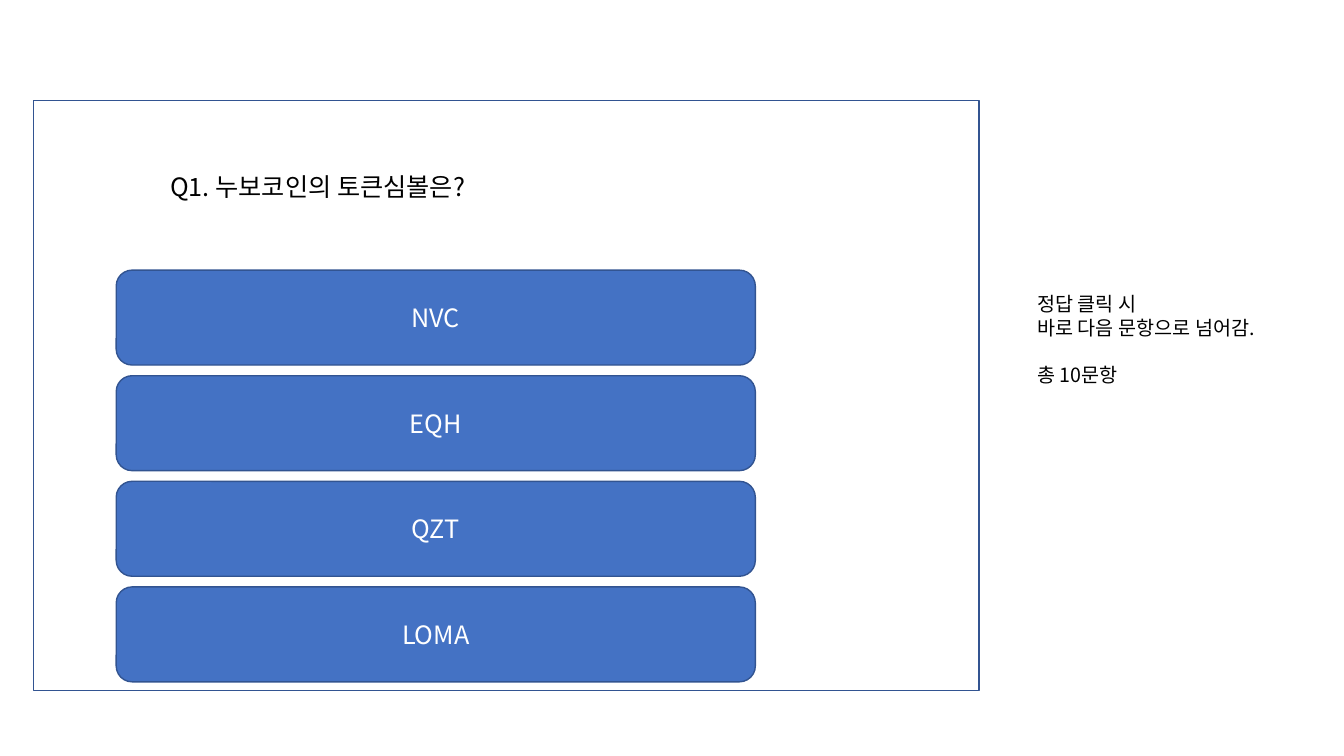
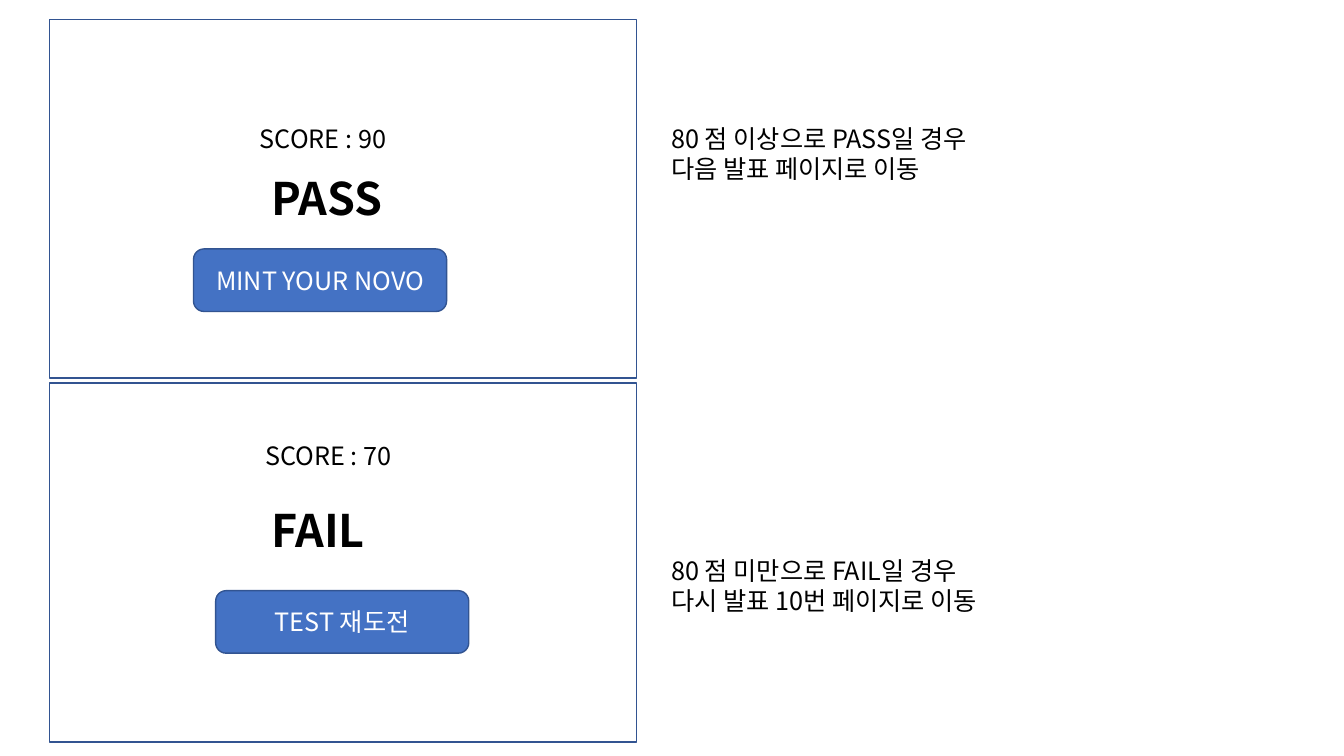
from dataclasses import dataclass
from typing import Any

import lxml.etree
import pptx
import pptx.dml.color
import pptx.enum.shapes
import pptx.enum.text
import pptx.oxml.ns
import pptx.util

COLOURS = {"button": "4472C4", "outline": "325491", "text": "000000", "button_text": "FFFFFF"}
FONT = "Noto Sans CJK KR"
SLIDE_WIDTH, SLIDE_HEIGHT = pptx.util.Inches(13.33), pptx.util.Inches(7.5)
GRID = 100  # columns and rows on each slide
BODY, SMALL, LARGE = 18, 14, 32

SHAPES = pptx.enum.shapes.MSO_SHAPE
ANCHOR = pptx.enum.text.MSO_ANCHOR
BUTTON_FRAME = {"word_wrap": True, "vertical_anchor": ANCHOR.MIDDLE}
TEXT_FRAME = {
    "word_wrap": True,
    "vertical_anchor": ANCHOR.TOP,
    "auto_size": pptx.enum.text.MSO_AUTO_SIZE.SHAPE_TO_FIT_TEXT,
}


@dataclass(frozen=True)
class Area:
    """A place on the grid: columns across, rows down."""
    column: float
    row: float
    columns: float
    rows: float

    def lengths(self) -> tuple[int, ...]:
        column, row = SLIDE_WIDTH / GRID, SLIDE_HEIGHT / GRID
        return (round(self.column * column), round(self.row * row),
                round(self.columns * column), round(self.rows * row))


@dataclass(frozen=True)
class Line:
    text: str
    size: int = BODY
    bold: bool = False
    space_before: float = 0


@dataclass(frozen=True)
class Result:
    """One outcome of the quiz: its panel, texts and button."""
    panel_row: float
    score: str
    score_column: float
    score_row: float
    verdict: str
    verdict_row: float
    action: str
    action_column: float
    action_row: float
    note: tuple[str, ...]
    note_row: float
    note_rows: float


# Shared drawing
def colour(name: str) -> pptx.dml.color.RGBColor:
    return pptx.dml.color.RGBColor.from_string(COLOURS[name])


def set_values(target: Any, values: dict[str, Any]) -> None:
    for name, value in values.items():
        setattr(target, name, value)


def write(text_frame: Any, lines: list[Line], text_colour: str, centred: bool = False) -> None:
    for index, line in enumerate(lines):
        paragraph = text_frame.add_paragraph() if index else text_frame.paragraphs[0]
        alignment = pptx.enum.text.PP_ALIGN
        set_values(paragraph, {
            "alignment": alignment.CENTER if centred else alignment.LEFT,
            "space_before": pptx.util.Pt(line.space_before),
        })
        run = paragraph.add_run()
        run.text = line.text
        set_values(run.font, {"name": FONT, "size": pptx.util.Pt(line.size), "bold": line.bold})
        run.font.color.rgb = colour(text_colour)
        east_asian = lxml.etree.SubElement(run.font._element, pptx.oxml.ns.qn("a:ea"))
        east_asian.set("typeface", FONT)


def add_outlined(slide: Any, kind: Any, area: Area) -> Any:
    shape = slide.shapes.add_shape(kind, *area.lengths())
    shape.shadow.inherit = False
    shape.line.color.rgb = colour("outline")
    shape.line.width = pptx.util.Pt(1)
    return shape


def add_panel(slide: Any, area: Area) -> None:
    add_outlined(slide, SHAPES.RECTANGLE, area).fill.background()


def add_button(slide: Any, area: Area, label: str) -> None:
    shape = add_outlined(slide, SHAPES.ROUNDED_RECTANGLE, area)
    shape.fill.solid()
    shape.fill.fore_color.rgb = colour("button")
    set_values(shape.text_frame, BUTTON_FRAME)
    write(shape.text_frame, [Line(label)], "button_text", centred=True)


def add_text(slide: Any, area: Area, *lines: Line) -> None:
    shape = slide.shapes.add_textbox(*area.lengths())
    set_values(shape.text_frame, TEXT_FRAME)
    write(shape.text_frame, list(lines), "text")


# Slide 1: question with four answers
ANSWERS = ("NVC", "EQH", "QZT", "LOMA")
FIRST_ANSWER_ROW, ANSWER_PITCH = 35.73, 13.97


def build_question(slide: Any) -> None:
    add_panel(slide, Area(2.5, 13.33, 70.35, 78))
    add_text(slide, Area(11.93, 22, 46.05, 5.33), Line("Q1. 누보코인의 토큰심볼은?"))
    for index, answer in enumerate(ANSWERS):
        row = FIRST_ANSWER_ROW + index * ANSWER_PITCH
        add_button(slide, Area(8.65, row, 47.55, 12.55), answer)
    add_text(
        slide, Area(76.45, 38, 22.05, 13.87),
        Line("정답 클릭 시", SMALL),
        Line("바로 다음 문항으로 넘어감.", SMALL),
        Line("총 10문항", SMALL, space_before=17),
    )


# Slide 2: pass and fail results
RESULTS = (
    Result(2.55, "SCORE : 90", 18.6, 15.6, "PASS", 21.87, "MINT YOUR NOVO", 14.4, 32.93,
           ("80 점 이상으로 PASS일 경우", "다음 발표 페이지로 이동"), 15.6, 9.47),
    Result(50.67, "SCORE : 70", 19, 57.6, "FAIL", 65.87, "TEST 재도전", 16.05, 78.13,
           ("80 점 미만으로 FAIL일 경우", "다시 발표 10번 페이지로 이동"), 72.8, 17.47),
)


def build_results(slide: Any) -> None:
    for result in RESULTS:
        add_panel(slide, Area(3.7, result.panel_row, 43.65, 47.47))
        add_text(slide, Area(result.score_column, result.score_row, 45.7, 5.33),
                 Line(result.score))
        add_text(slide, Area(19.43, result.verdict_row, 18.83, 8.53),
                 Line(result.verdict, LARGE, bold=True))
        add_button(slide, Area(result.action_column, result.action_row, 18.83, 8.27),
                   result.action)
        add_text(slide, Area(49.2, result.note_row, 32.25, result.note_rows),
                 *(Line(text) for text in result.note))


# Presentation
def main() -> None:
    presentation = pptx.Presentation()
    set_values(presentation, {"slide_width": SLIDE_WIDTH, "slide_height": SLIDE_HEIGHT})
    blank_layout = presentation.slide_layouts[6]
    for build in (build_question, build_results):
        build(presentation.slides.add_slide(blank_layout))
    presentation.save("out.pptx")


main()
